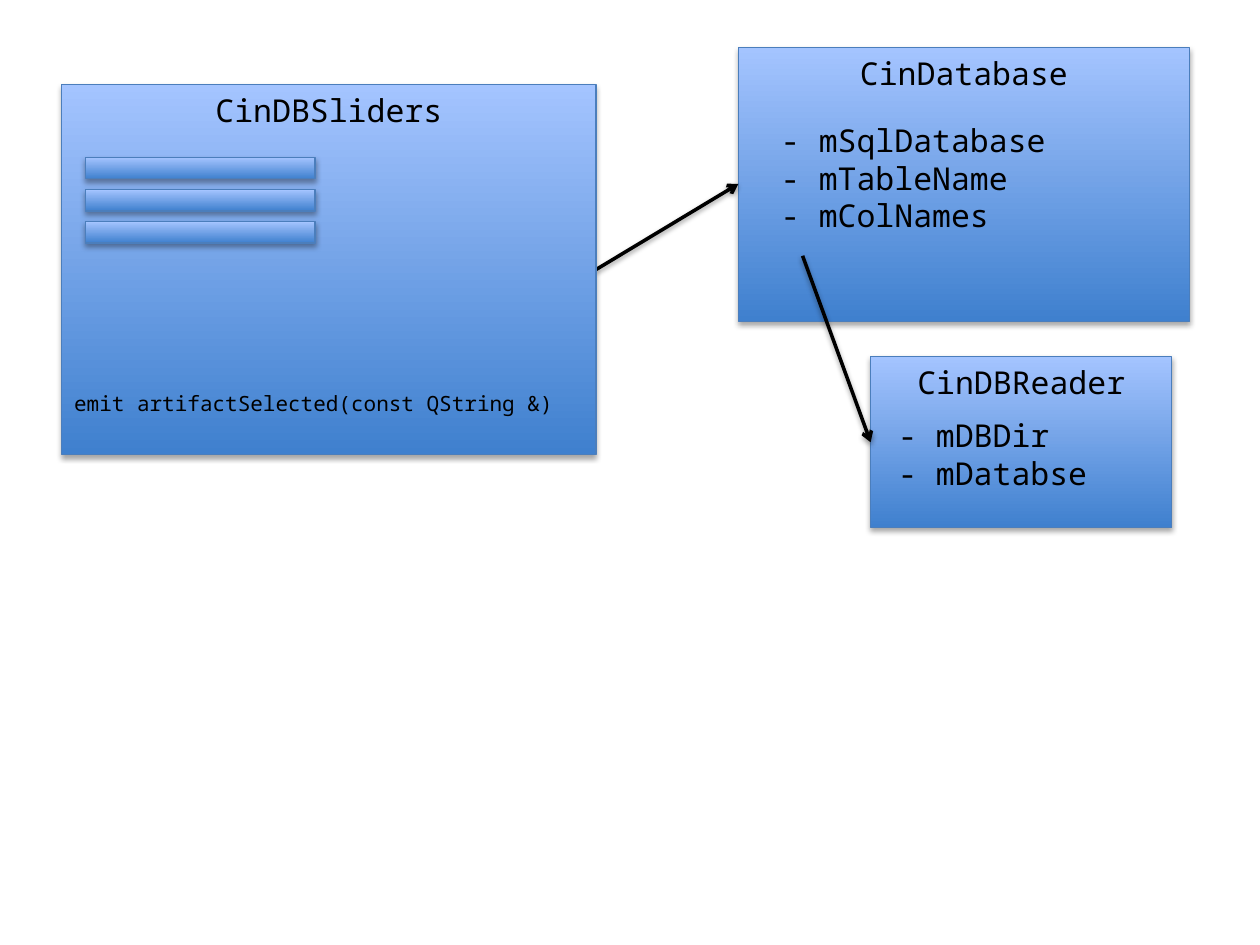
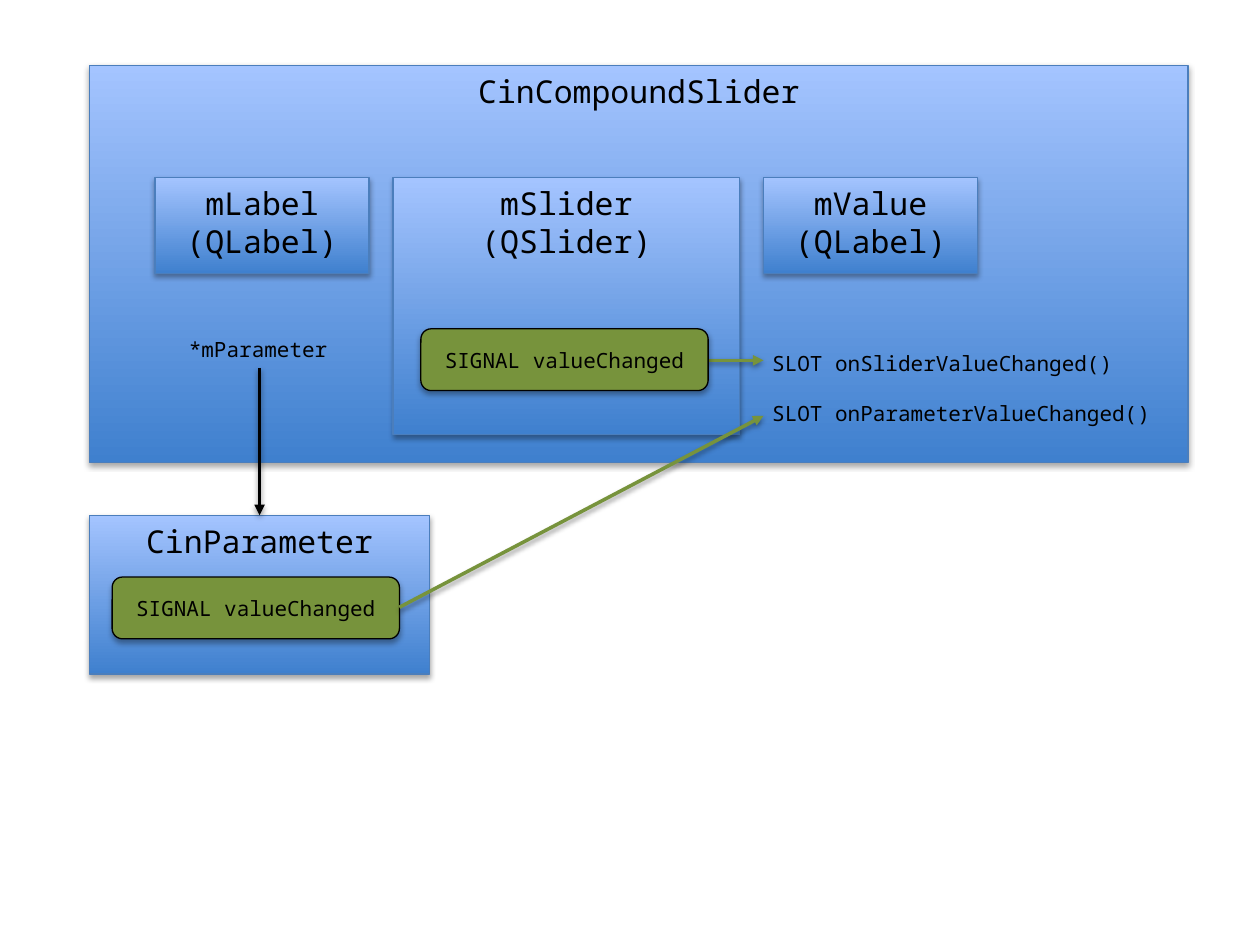
"""Two class diagrams: database widgets and the compound slider."""
from dataclasses import dataclass

from lxml import etree
from pptx import Presentation
from pptx.dml.color import RGBColor
from pptx.enum.dml import MSO_FILL
from pptx.enum.shapes import MSO_CONNECTOR, MSO_SHAPE
from pptx.enum.text import MSO_ANCHOR, MSO_AUTO_SIZE, PP_ALIGN
from pptx.oxml.ns import qn
from pptx.util import Inches, Pt

RECTANGLE = MSO_SHAPE.RECTANGLE
ROUNDED = MSO_SHAPE.ROUNDED_RECTANGLE
STRAIGHT = MSO_CONNECTOR.STRAIGHT
TOP, MIDDLE = MSO_ANCHOR.TOP, MSO_ANCHOR.MIDDLE
LEFT, CENTER = PP_ALIGN.LEFT, PP_ALIGN.CENTER
FIT_TEXT = MSO_AUTO_SIZE.SHAPE_TO_FIT_TEXT

FONT = "Noto Sans Mono"
BLACK, GREEN = "000000", "77933C"
BOX_BOTTOM, BOX_TOP, BOX_LINE = "3F80CE", "A4C4FF", "4B7EBC"
TITLE_SIZE, CODE_SIZE = 18, 12
LINE_HEIGHT = 1.2
BLANK_LAYOUT = 6


@dataclass
class Box:
    """A class or widget, drawn as a gradient rectangle."""
    left: float
    top: float
    width: float
    height: float
    text: str = ""


@dataclass
class Label:
    """Left-aligned code text."""
    left: float
    top: float
    width: float
    height: float
    text: str
    size: int = CODE_SIZE
    wrap: bool = True
    gap: float = 0


@dataclass
class Arrow:
    """A straight arrow between two points."""
    start: tuple[float, float]
    end: tuple[float, float]
    color: str = BLACK
    head: str = "triangle"


def rgb(color: str) -> RGBColor:
    """Turn a hex string into a colour."""
    return RGBColor.from_string(color)


def add_shadow(shape, opacity: int, distance: float) -> None:
    """Give a shape or connector a soft shadow falling downwards."""
    properties = shape._element.spPr
    for old_effects in properties.findall(qn("a:effectLst")):
        properties.remove(old_effects)
    effects = etree.SubElement(properties, qn("a:effectLst"))
    shadow = etree.SubElement(
        effects, qn("a:outerShdw"), blurRad=str(Pt(3.1)),
        dist=str(Pt(distance)), dir="5400000", rotWithShape="0")
    color = etree.SubElement(shadow, qn("a:srgbClr"), val=BLACK)
    etree.SubElement(color, qn("a:alpha"), val=str(opacity * 1000))


def write_text(shape, text: str, size: int, alignment, gap: float = 0) -> None:
    """Fill a shape with text, one paragraph a line."""
    shape.text_frame.text = text
    for index, paragraph in enumerate(shape.text_frame.paragraphs):
        paragraph.alignment = alignment
        if index and gap:
            paragraph.space_before = Pt(gap)
        for run in paragraph.runs:
            run.font.name = FONT
            run.font.size = Pt(size)
            run.font.color.rgb = rgb(BLACK)


def add_block(shapes, preset, box: Box, line_color: str):
    """Add an outlined preset shape, not yet filled."""
    shape = shapes.add_shape(preset, Inches(box.left), Inches(box.top),
                             Inches(box.width), Inches(box.height))
    shape.line.color.rgb = rgb(line_color)
    shape.line.width = Pt(0.75)
    add_shadow(shape, 35, 1.8)
    return shape


def add_box(shapes, box: Box) -> None:
    """Add a gradient rectangle titled at its top."""
    shape = add_block(shapes, RECTANGLE, box, BOX_LINE)
    shape.fill.gradient()
    shape.fill.gradient_angle = 90
    for stop, color in zip(shape.fill.gradient_stops, (BOX_BOTTOM, BOX_TOP)):
        stop.color.rgb = rgb(color)
    shape.text_frame.vertical_anchor = TOP
    if box.text:
        write_text(shape, box.text, TITLE_SIZE, CENTER)


def add_signal(shapes, left: float, top: float) -> None:
    """Add a green signal badge."""
    badge = Box(left, top, 2.28, 0.49, "SIGNAL valueChanged")
    shape = add_block(shapes, ROUNDED, badge, BLACK)
    shape.fill.solid()
    shape.fill.fore_color.rgb = rgb(GREEN)
    shape.text_frame.vertical_anchor = MIDDLE
    write_text(shape, badge.text, CODE_SIZE, CENTER)


def add_label(shapes, label: Label) -> None:
    """Add a text box."""
    shape = shapes.add_textbox(Inches(label.left), Inches(label.top),
                               Inches(label.width), Inches(label.height))
    shape.text_frame.word_wrap = label.wrap
    shape.text_frame.auto_size = FIT_TEXT
    write_text(shape, label.text, label.size, LEFT, label.gap)


def add_arrow(shapes, arrow: Arrow) -> None:
    """Add a connector with an arrowhead at its end."""
    connector = shapes.add_connector(
        STRAIGHT, *(Inches(value) for value in arrow.start + arrow.end))
    connector.line.color.rgb = rgb(arrow.color)
    connector.line.width = Pt(2)
    etree.SubElement(connector.line._get_or_add_ln(), qn("a:tailEnd"),
                     type=arrow.head)
    add_shadow(connector, 38, 1.6)


def build_database_slide(slide) -> None:
    """Draw the sliders widget, the database and its reader."""
    shapes = slide.shapes
    add_box(shapes, Box(6.91, 2.83, 2.39, 1.36, "CinDBReader"))
    add_box(shapes, Box(5.86, 0.38, 3.58, 2.17, "CinDatabase"))
    add_label(shapes, Label(6.1, 0.91, 3.06, 1.01,
                            "- mSqlDatabase\n- mTableName\n- mColNames",
                            TITLE_SIZE))
    add_arrow(shapes, Arrow((4.73, 2.14), (5.86, 1.46), head="arrow"))
    add_label(shapes, Label(7.03, 3.25, 3.06, 0.71,
                            "- mDBDir\n- mDatabse", TITLE_SIZE))
    add_arrow(shapes, Arrow((6.37, 2.03), (6.91, 3.51), head="arrow"))

    sliders = shapes.add_group_shape().shapes
    add_box(sliders, Box(0.49, 0.67, 4.24, 2.94, "CinDBSliders"))
    for row in range(3):
        add_box(sliders, Box(0.68, 1.25 + row * 0.255, 1.82, 0.17))
    add_label(sliders, Label(0.49, 3.05, 4.24, 0.3,
                             "emit artifactSelected(const QString &)"))


def build_slider_slide(slide) -> None:
    """Draw the compound slider and the parameter it follows."""
    shapes = slide.shapes
    for box in (
        Box(0.71, 0.52, 8.72, 3.15, "CinCompoundSlider"),
        Box(1.23, 1.41, 1.7, 0.76, "mLabel\n(QLabel)"),
        Box(3.12, 1.41, 2.75, 2.04, "mSlider\n(QSlider)"),
        Box(6.06, 1.41, 1.7, 0.76, "mValue\n(QLabel)"),
        Box(0.71, 4.09, 2.7, 1.26, "CinParameter"),
    ):
        add_box(shapes, box)
    add_label(shapes, Label(1.4, 2.62, 1.32, 0.3, "*mParameter", wrap=False))
    add_arrow(shapes, Arrow((2.06, 2.92), (2.06, 4.09)))
    add_arrow(shapes, Arrow((5.62, 2.86), (6.06, 2.86), GREEN))
    add_label(shapes, Label(
        6.03, 2.73, 3.25, 0.91,
        "SLOT onSliderValueChanged()\nSLOT onParameterValueChanged()",
        wrap=False, gap=CODE_SIZE * LINE_HEIGHT))
    add_signal(shapes, 3.34, 2.61)
    add_signal(shapes, 0.89, 4.58)
    add_arrow(shapes, Arrow((3.17, 4.82), (6.06, 3.3), GREEN))


def main() -> None:
    """Build and save the presentation."""
    presentation = Presentation()
    presentation.slide_width = Inches(10)
    presentation.slide_height = Inches(7.5)
    layout = presentation.slide_layouts[BLANK_LAYOUT]
    for build in (build_database_slide, build_slider_slide):
        build(presentation.slides.add_slide(layout))
    presentation.save("out.pptx")


main()
